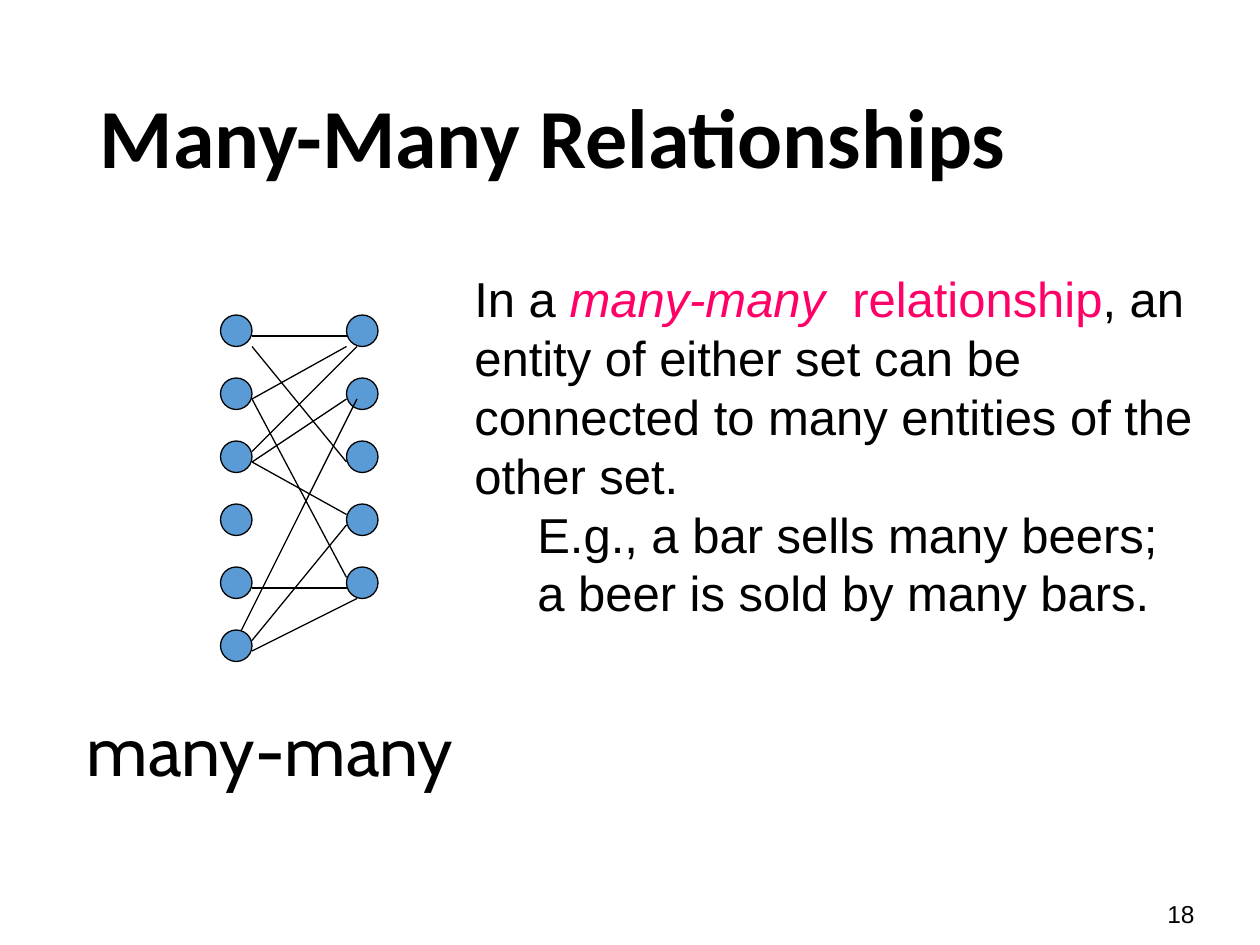
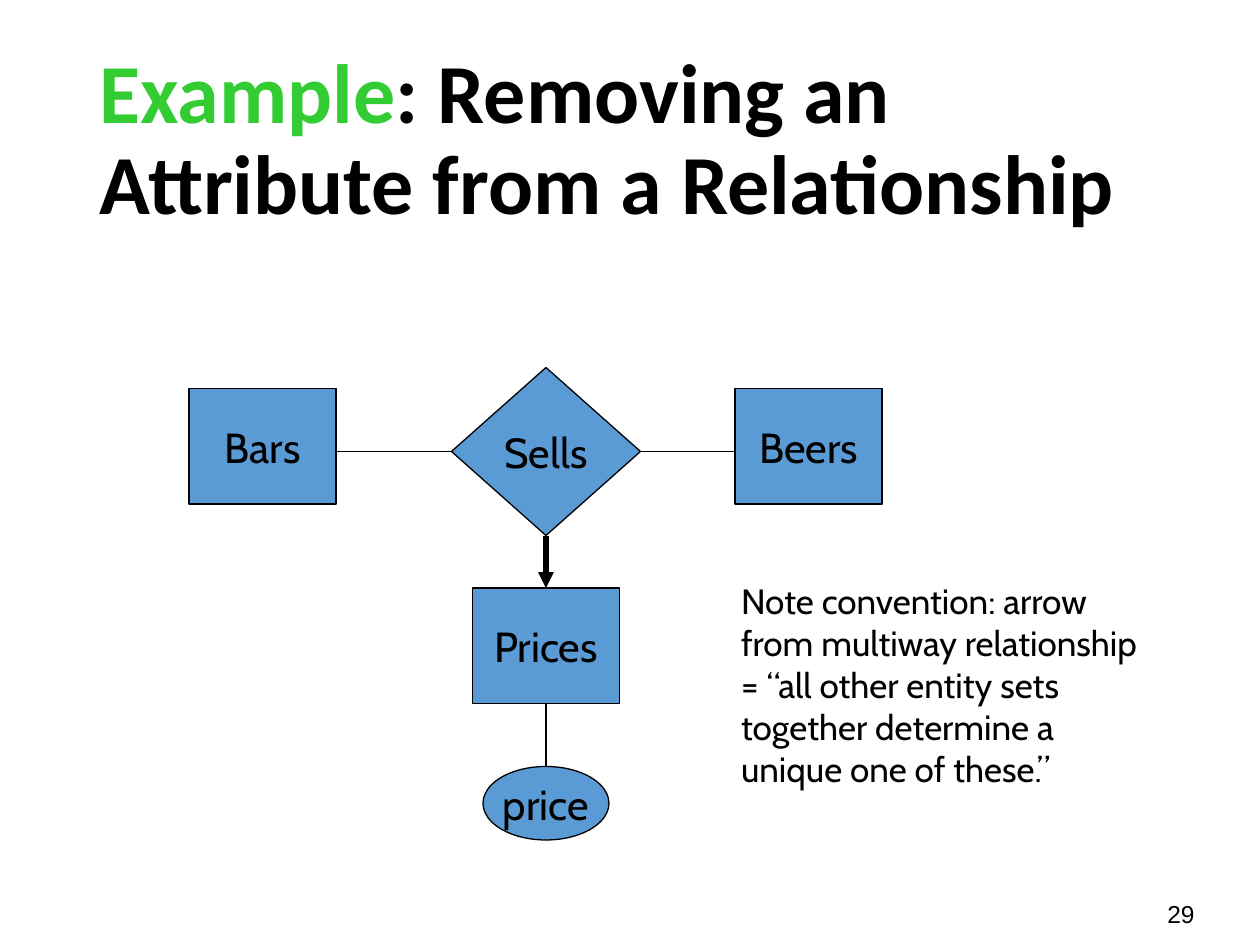
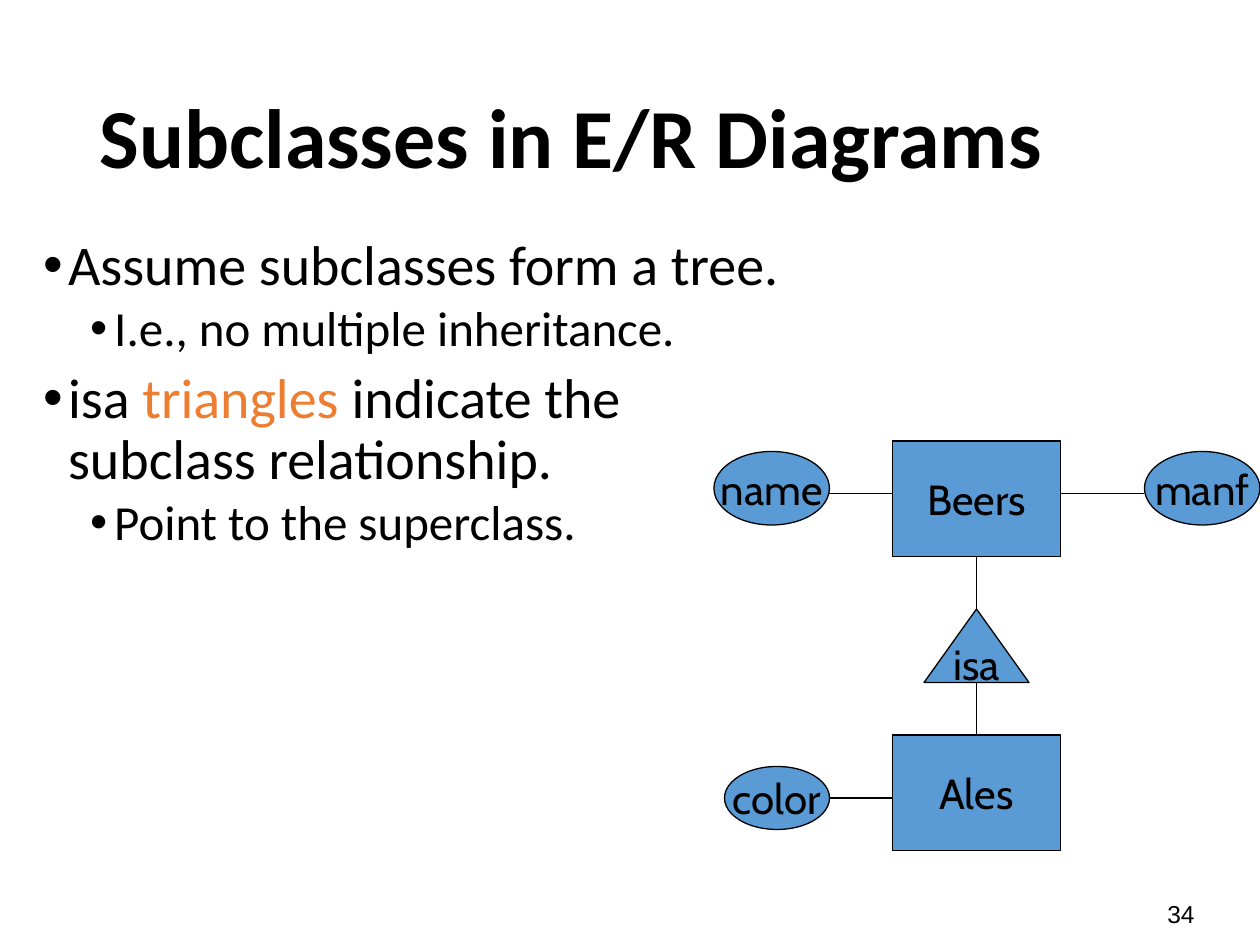
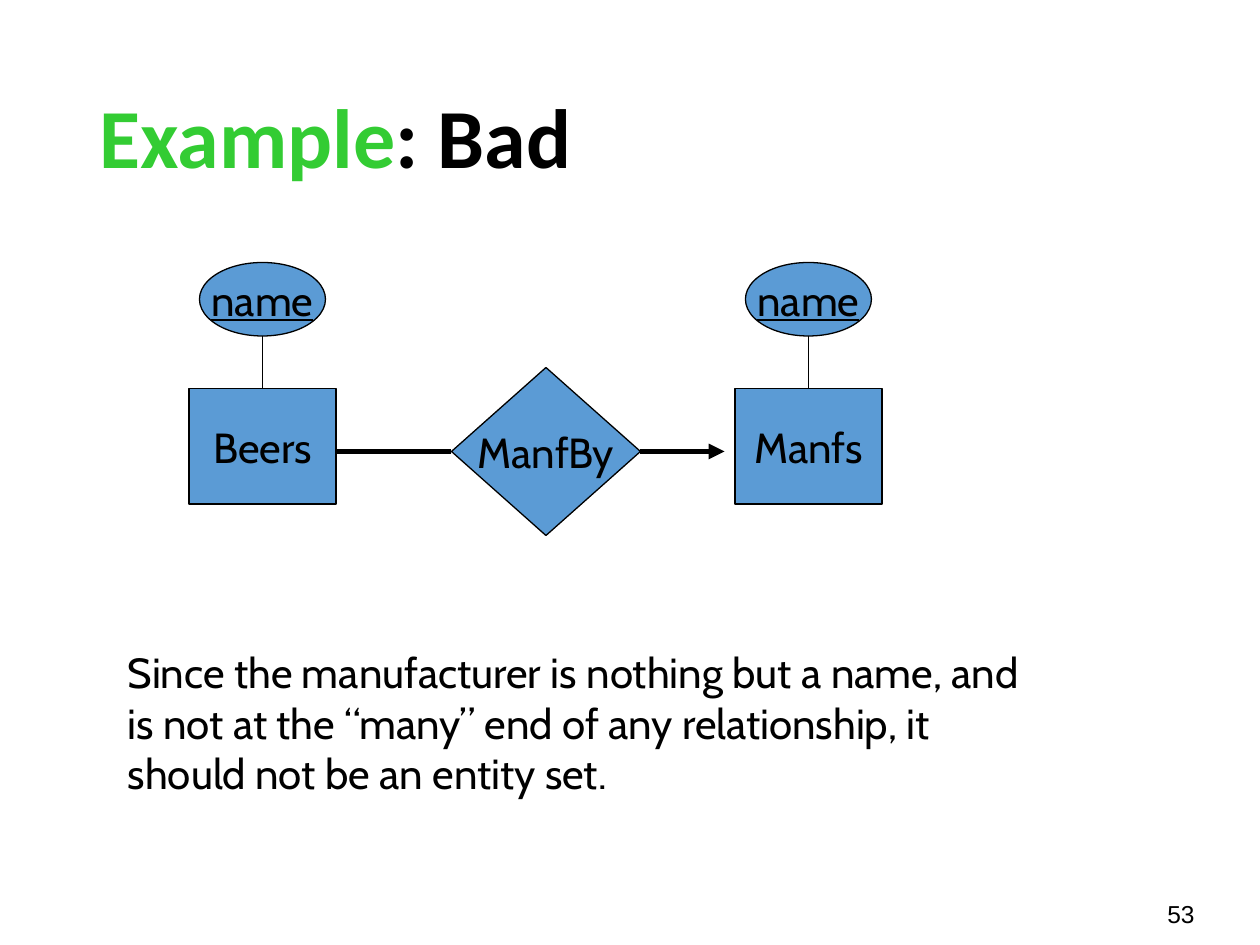
from lxml import etree
from pptx import Presentation
from pptx.dml.color import RGBColor
from pptx.enum.shapes import MSO_CONNECTOR, MSO_SHAPE
from pptx.enum.text import MSO_ANCHOR, MSO_AUTO_SIZE, PP_ALIGN
from pptx.oxml.ns import qn
from pptx.util import Pt

PX = 7620
RECT, OVAL = MSO_SHAPE.RECTANGLE, MSO_SHAPE.OVAL
DIAMOND, TRIANGLE = MSO_SHAPE.DIAMOND, MSO_SHAPE.ISOSCELES_TRIANGLE
STRAIGHT = MSO_CONNECTOR.STRAIGHT
LEFT, CENTER = PP_ALIGN.LEFT, PP_ALIGN.CENTER
MIDDLE, NO_FIT = MSO_ANCHOR.MIDDLE, MSO_AUTO_SIZE.NONE
TOP, WEST, BOTTOM, EAST = range(4)

BLACK, BLUE, GREEN, PINK, ORANGE = "000000", "5B9BD5", "33CC33", "FF0066", "ED7D31"
hue = RGBColor.from_string

# font, size, bold, line spacing, space before, level, left, indent
HEAD = ("Calibri", 48, True, 0.9, 0, 0, 0, 0)
FOOT = ("Arial", 14, False, 1, 0, 0, 0, 0)
TEXT = ("Arial", 28, False, 1, 0, 0, 0, 0)
INNER = ("Arial", 28, False, 1, 0, 1, 60, 0)
POINT = ("Calibri", 32, False, 0.9, 7.5, 0, 23, -23)
SUB = ("Calibri", 28, False, 0.9, 3.7, 1, 67, -23)
LABEL = ("Cabin", 40, False, 1, 0, 0, 0, 0)
NOTE = ("Cabin", 20, False, 1, 0, 0, 0, 0)
REMARK = ("Cabin", 24, False, 1, 0, 0, 0, 0)


def node(shapes, kind, x, y, w, h, label="", under=None):
    shape = shapes.add_shape(kind, x * PX, y * PX, w * PX, h * PX)
    shape.shadow.inherit = False
    shape.fill.solid()
    shape.fill.fore_color.rgb = hue(BLUE)
    shape.line.color.rgb = hue(BLACK)
    shape.line.width = Pt(0.75)
    if label:
        frame = shape.text_frame
        frame.word_wrap = False
        frame.vertical_anchor = MIDDLE
        para = frame.paragraphs[0]
        para.text = label
        para.alignment = CENTER
        para.font.name = "Cabin"
        para.font.size = Pt(24)
        para.font.underline = under
        para.font.color.rgb = hue(BLACK)
    return shape


def link(shapes, x1, y1, x2, y2, start=None, end=None, width=0.75, arrow=False):
    line = shapes.add_connector(STRAIGHT, x1 * PX, y1 * PX, x2 * PX, y2 * PX)
    if start:
        line.begin_connect(*start)
    if end:
        line.end_connect(*end)
    line.line.color.rgb = hue(BLACK)
    line.line.width = Pt(width)
    if arrow:
        etree.SubElement(line.line._get_or_add_ln(), qn("a:tailEnd"), type="triangle")
    etree.SubElement(line._element.spPr, qn("a:effectLst"))


deck = Presentation()
deck.slide_width, deck.slide_height = 1200 * PX, 900 * PX

pages, blocks = [], []
for number, title in (
    ("18", ["Many-Many Relationships"]),
    ("29", [("Example", GREEN), ": Removing an Attribute from a Relationship"]),
    ("34", ["Subclasses in E/R Diagrams"]),
    ("53", [("Example", GREEN), ": Bad"]),
):
    page = deck.slides.add_slide(deck.slide_layouts[5])
    head = page.shapes.title
    head.left, head.top, head.width, head.height = 83 * PX, 48 * PX, 1036 * PX, 174 * PX
    head.text_frame.vertical_anchor = MIDDLE
    head.text_frame.auto_size = NO_FIT
    blocks.append((head.text_frame, [(HEAD, title)]))
    foot = page.shapes.add_textbox(1100 * PX, 850 * PX, 70 * PX, 41 * PX)
    foot.text_frame.word_wrap = True
    blocks.append((foot.text_frame, [(FOOT, [number])]))
    pages.append(page.shapes)
many, remove, tree, bad = pages

group = many.add_group_shape().shapes
for x, count in ((210, 6), (330, 5)):
    for row in range(count):
        node(group, OVAL, x, 300 + 60 * row, 30, 30)
for ends in (
    (240, 330, 330, 440), (240, 320, 330, 320), (240, 380, 330, 330),
    (240, 430, 340, 330), (240, 380, 330, 550), (240, 560, 330, 560),
    (240, 620, 340, 570), (240, 440, 330, 380), (230, 600, 340, 380),
    (240, 610, 330, 500), (330, 490, 240, 440),
):
    link(group, *ends)

for shapes, first, verb, last, width, tip in (
    (remove, "Bars", "Sells", "Beers", 0.75, 700),
    (bad, "Beers", "ManfBy", "Manfs", 3, 690),
):
    for x, label in ((180, first), (700, last)):
        node(shapes, RECT, x, 370, 140, 110, label)
    hub = node(shapes, DIAMOND, 430, 350, 180, 160, verb)
    link(shapes, 430, 430, 320, 430, start=(hub, WEST), width=width)
    link(shapes, 610, 430, tip, 430, start=(hub, EAST), width=width, arrow=shapes is bad)
    if shapes is remove:
        cost = node(shapes, RECT, 450, 560, 140, 110, "Prices")
        node(shapes, OVAL, 460, 730, 120, 70, "price")
        link(shapes, 520, 510, 520, 560, (hub, BOTTOM), (cost, TOP), 3, True)
        link(shapes, 520, 670, 520, 730, start=(cost, BOTTOM))

for x in (190, 710):
    node(bad, OVAL, x, 250, 120, 70, "name", True)
    link(bad, x + 60, 320, x + 60, 370)

beers = node(tree, RECT, 850, 420, 160, 110, "Beers")
ales = node(tree, RECT, 850, 700, 160, 110, "Ales")
isa = node(tree, TRIANGLE, 880, 580, 100, 70, "isa")
node(tree, OVAL, 680, 430, 110, 70, "name")
node(tree, OVAL, 1090, 430, 110, 70, "manf")
node(tree, OVAL, 690, 730, 100, 60, "color")
link(tree, 790, 470, 850, 470)
link(tree, 1090, 470, 1010, 470)
link(tree, 930, 580, 930, 530, (isa, TOP), (beers, BOTTOM))
link(tree, 930, 650, 930, 700, end=(ales, TOP))
link(tree, 790, 760, 850, 760)

for shapes, box, wrap, paras in (
    (many, (71, 667, 395, 92), False, [(LABEL, ["many-many"])]),
    (many, (440, 250, 710, 348), True, [
        (TEXT, ["In a ", ("many-many", PINK, True), ("  relationship", PINK),
                ", an entity of either set can be connected to many entities of the other set."]),
        (INNER, ["E.g., a bar sells many beers; a beer is sold by many bars."]),
    ]),
    (remove, (694, 546, 449, 212), False, [
        (NOTE, ["Note convention: arrow"]),
        (NOTE, ["from multiway relationship"]),
        (NOTE, ["= “all other entity sets"]),
        (NOTE, ["together determine a"]),
        (NOTE, ["unique one of these.”"]),
    ]),
    (tree, (30, 220, 740, 370), True, [
        (POINT, ["Assume subclasses form a tree."]),
        (SUB, ["I.e., no multiple inheritance."]),
        (POINT, ["isa ", ("triangles", ORANGE), " indicate the subclass relationship."]),
        (SUB, ["Point to the superclass."]),
    ]),
    (bad, (110, 610, 902, 156), True, [
        (REMARK, ["Since the manufacturer is nothing but a name, and is not at the “many” end "
                  "of any relationship, it should not be an entity set."]),
    ]),
):
    frame = shapes.add_textbox(*(n * PX for n in box)).text_frame
    frame.word_wrap = wrap
    blocks.append((frame, paras))

for frame, paras in blocks:
    for index, (style, runs) in enumerate(paras):
        font, size, bold, space, before, level, left, indent = style
        para = frame.add_paragraph() if index else frame.paragraphs[0]
        para.alignment = LEFT
        para.level = level
        para.line_spacing = space
        para.space_before = Pt(before if index else 0)
        props = para._p.get_or_add_pPr()
        props.set("marL", str(left * PX))
        props.set("indent", str(indent * PX))
        if indent:
            etree.SubElement(props, qn("a:buFont"), typeface="Arial")
            etree.SubElement(props, qn("a:buChar"), char="•")
        para.font.name = font
        para.font.size = Pt(size)
        para.font.bold = bold
        para.font.color.rgb = hue(BLACK)
        for item in runs:
            words, *tint = [item] if isinstance(item, str) else item
            run = para.add_run()
            run.text = words
            if tint:
                run.font.color.rgb = hue(tint[0])
                run.font.italic = True if len(tint) > 1 else None

deck.save("out.pptx")
